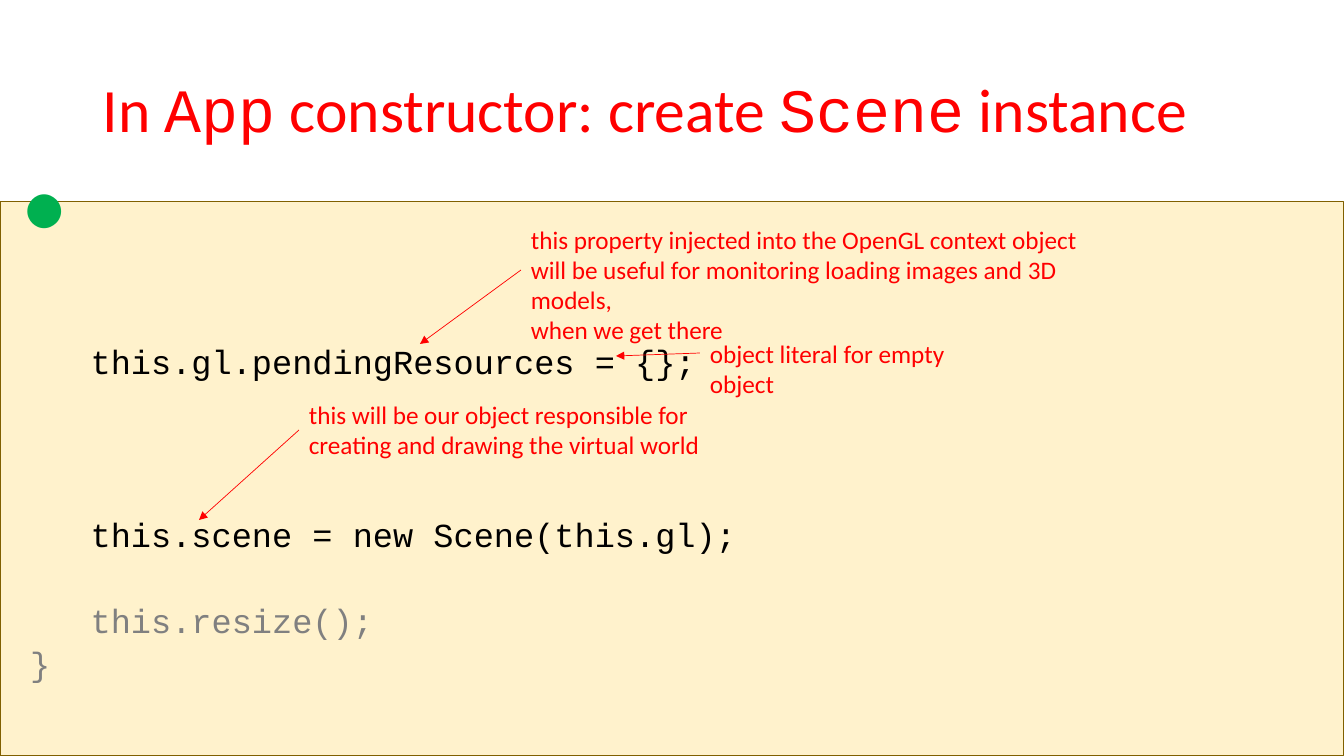
from lxml import etree
from pptx import Presentation
from pptx import util as u
from pptx.dml.color import RGBColor
from pptx.enum import shapes, text
from pptx.oxml.ns import qn

SANS, MONO = "Calibri", "Courier New"
RED, BLACK, GREY, GREEN = "FF0000", "000000", "808080", "00B050"
CREAM, BROWN = "FFF2CC", "806000"

TITLE = [("In ", SANS), ("App", MONO), (" constructor: create ", SANS),
         ("Scene", MONO), (" instance", SANS)]
# code line, colour, empty rows above it
CODE = [
    ("    this.gl.pendingResources = {};", BLACK, 0),
    ("    this.scene = new Scene(this.gl);", BLACK, 3),
    ("    this.resize();", GREY, 1),
    (" }", GREY, 0),
]
# paragraphs, box (left, top, width, height), arrow tip
NOTES = [
    (["this property injected into the OpenGL context object",
      "will be useful for monitoring loading images and 3D models,",
      "when we get there"], (521, 219, 626, 102), (420, 344)),
    (["this will be our object responsible for creating and drawing "
      "the virtual world"], (299, 394, 466, 72), (199, 520)),
    (["object literal for empty object"], (700, 333, 313, 40), (616, 356)),
]
WIDE, HIGH = 1344, 756
CODE_TOP, CODE_PAD, ROW = 202, 136, 43.2


def px(n):
    return u.Emu(round(n * 914400 / 100.8))


def color(code):
    return RGBColor.from_string(code)


def add_run(para, words, font, size, code):
    run = para.add_run()
    run.text = words
    run.font.name, run.font.size = font, u.Pt(size)
    run.font.color.rgb = color(code)


def add_box(box):
    shape = slide.shapes.add_textbox(*map(px, box))
    shape.text_frame.word_wrap = True
    return shape


def paras(frame, items):
    """Yield each item with its own paragraph of the frame."""
    for i, item in enumerate(items):
        yield (frame.add_paragraph() if i else frame.paragraphs[0]), item


def add_arrow(note, tip):
    line = slide.shapes.add_connector(
        shapes.MSO_CONNECTOR.STRAIGHT, 0, 0, *map(px, tip))
    line.begin_connect(note, 1)
    line.line.color.rgb = color(RED)
    line.line.width = u.Pt(0.5)
    etree.SubElement(line.line._get_or_add_ln(), qn("a:tailEnd"), type="triangle")
    etree.SubElement(line._element.spPr, qn("a:effectLst"))


deck = Presentation()
deck.slide_width, deck.slide_height = px(WIDE), px(HIGH)
slide = deck.slides.add_slide(deck.slide_layouts[6])

title = add_box((93, 40, 1159, 146)).text_frame
title.vertical_anchor = text.MSO_ANCHOR.MIDDLE
title.paragraphs[0].line_spacing = 0.9
for words, font in TITLE:
    add_run(title.paragraphs[0], words, font, 44, RED)

panel = slide.shapes.add_shape(
    shapes.MSO_SHAPE.RECTANGLE, *map(px, (0, CODE_TOP, WIDE, HIGH - CODE_TOP)))
panel.shadow.inherit = False
panel.fill.solid()
panel.fill.fore_color.rgb = color(CREAM)
panel.line.color.rgb = color(BROWN)
panel.line.width = u.Pt(0.75)
frame = panel.text_frame
frame.word_wrap = True
frame.vertical_anchor = text.MSO_ANCHOR.TOP
frame.margin_top = px(CODE_PAD)
for para, (words, code, gap) in paras(frame, CODE):
    para.alignment = text.PP_ALIGN.LEFT
    para.line_spacing = px(ROW)
    if gap:
        para.space_before = px(gap * ROW)
    add_run(para, words, MONO, 24, code)

for lines, box, tip in NOTES:
    note = add_box(box)
    for para, words in paras(note.text_frame, lines):
        add_run(para, words, SANS, 18, RED)
    add_arrow(note, tip)

dot = add_box((0, -58, 57, 350)).text_frame
add_run(dot.paragraphs[0], ".", SANS, 200, GREEN)

deck.save("out.pptx")
